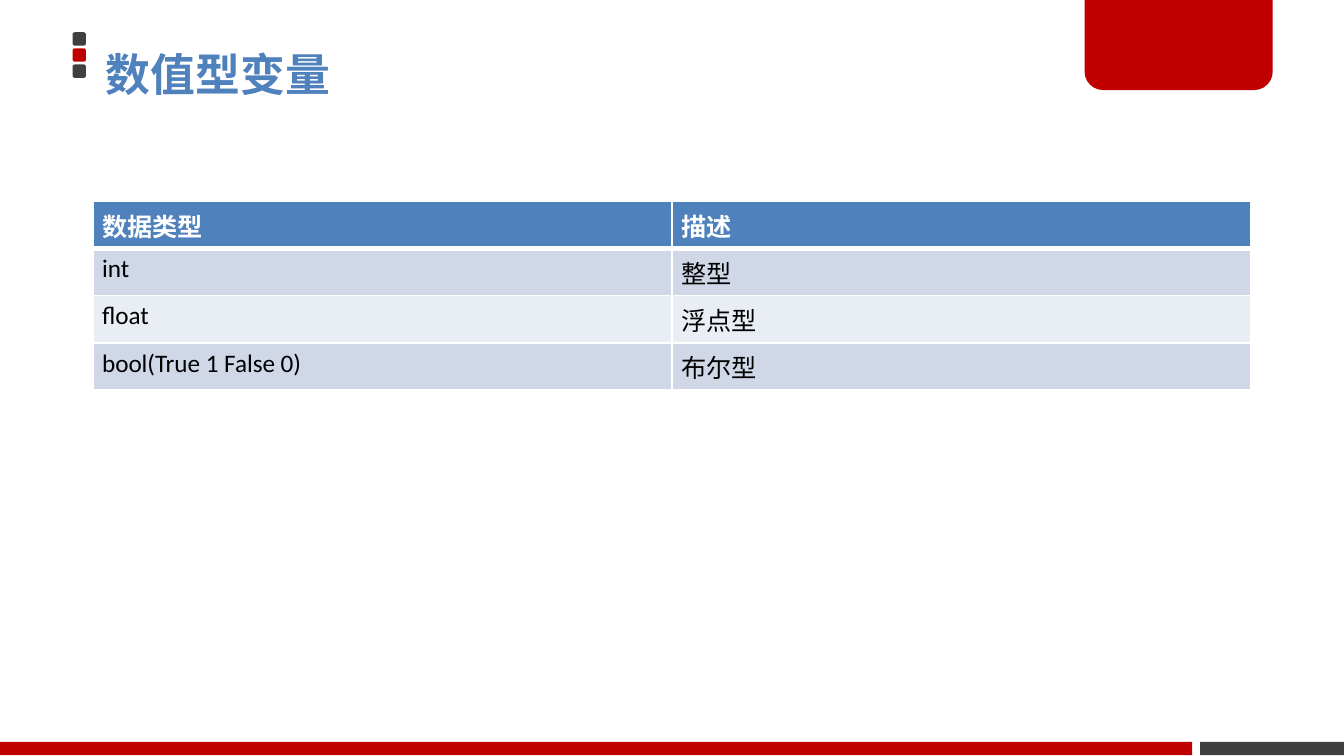
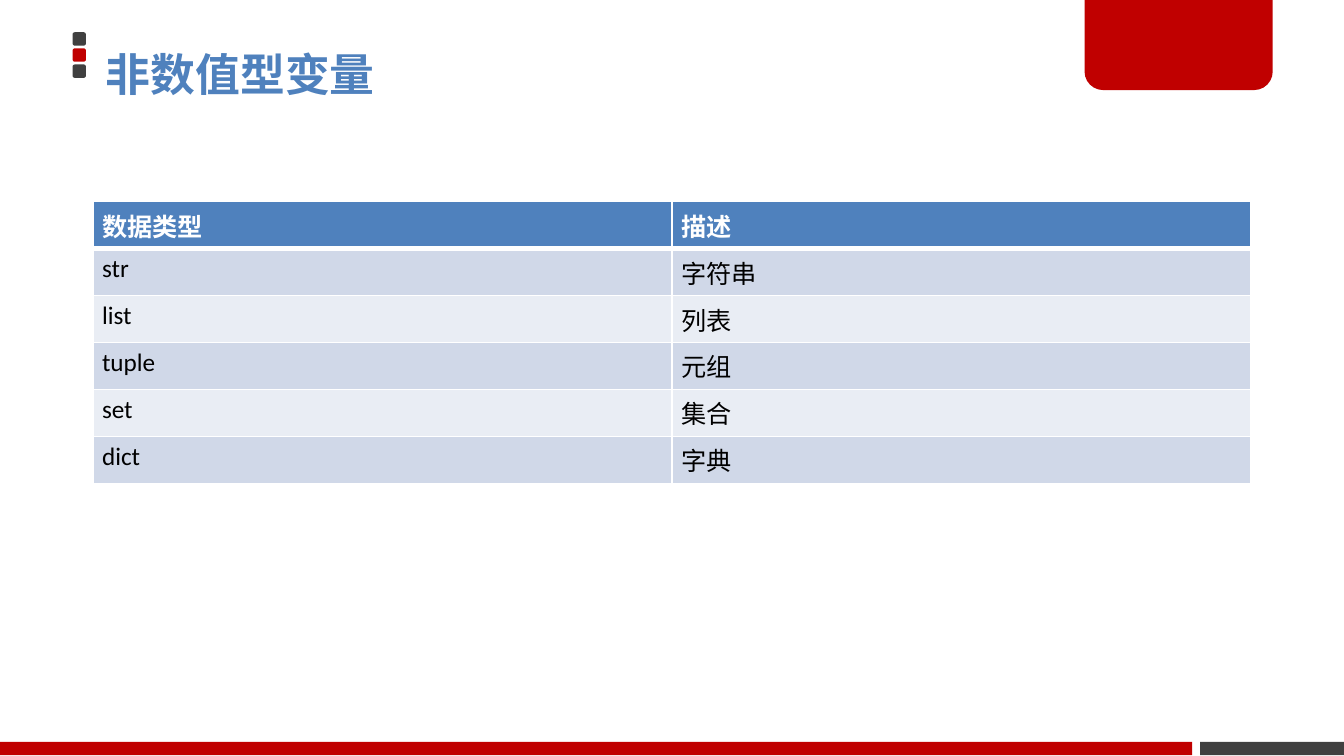
from dataclasses import dataclass

from lxml.etree import SubElement
from pptx import Presentation
from pptx.dml.color import RGBColor
from pptx.enum.shapes import MSO_SHAPE as Preset
from pptx.oxml.ns import qn
from pptx.slide import Slide
from pptx.table import _Cell as Cell
from pptx.text.text import _Paragraph as Paragraph
from pptx.util import Inches, Pt

RED = RGBColor(0xC0, 0x00, 0x00)
GRAY = RGBColor(0x40, 0x40, 0x40)
BLUE = RGBColor(0x4F, 0x81, 0xBD)
BANDS = (RGBColor(0xD0, 0xD8, 0xE8), RGBColor(0xE9, 0xED, 0xF4))
WHITE = RGBColor(0xFF, 0xFF, 0xFF)
BLACK = RGBColor(0x00, 0x00, 0x00)

LATIN_FONT = "Calibri"
CHINESE_FONT = "Noto Sans CJK SC"
SLIDE_WIDTH = Inches(10)
SLIDE_HEIGHT = SLIDE_WIDTH * 9 // 16
LEFT, WIDTH = 0.69, 8.62
ROW_HEIGHT = 0.35
HEADER = ("数据类型", "描述")


@dataclass(frozen=True)
class Block:
    preset: Preset
    left: float
    top: float
    width: float
    height: float
    color: RGBColor
    corners: tuple[float, ...] = ()


@dataclass(frozen=True)
class TypePage:
    title: str
    rows: tuple[tuple[str, str], ...]


DECORATION = [
    *(
        Block(Preset.ROUNDED_RECTANGLE, 0.54, 0.24 + 0.12 * i, 0.1, 0.1, color, (0.17,))
        for i, color in enumerate((GRAY, RED, GRAY))
    ),
    Block(Preset.RECTANGLE, 8.93, 5.52, 1.07, 0.1, GRAY),
    Block(Preset.ROUND_2_SAME_RECTANGLE, 8.07, -0.02, 1.4, 0.69, RED, (0, 0.2)),
    Block(Preset.RECTANGLE, 0, 5.52, 8.87, 0.1, RED),
]

PAGES = [
    TypePage(
        "数值型变量",
        (("int", "整型"), ("float", "浮点型"), ("bool(True 1 False 0)", "布尔型")),
    ),
    TypePage(
        "非数值型变量",
        (
            ("str", "字符串"),
            ("list", "列表"),
            ("tuple", "元组"),
            ("set", "集合"),
            ("dict", "字典"),
        ),
    ),
]


def add_block(page: Slide, block: Block) -> None:
    shape = page.shapes.add_shape(
        block.preset,
        Inches(block.left),
        Inches(block.top),
        Inches(block.width),
        Inches(block.height),
    )
    for i, corner in enumerate(block.corners):
        shape.adjustments[i] = corner
    shape.shadow.inherit = False
    shape.fill.solid()
    shape.fill.fore_color.rgb = block.color
    shape.line.fill.background()


def add_span(
    para: Paragraph, text: str, size: float, color: RGBColor, bold: bool, font: str
) -> None:
    span = para.add_run()
    span.text = text
    span.font.size = Pt(size)
    span.font.bold = bold
    span.font.color.rgb = color
    span.font.name = font
    SubElement(span.font._element, qn("a:ea"), typeface=CHINESE_FONT)


def add_title(page: Slide, title: str) -> None:
    box = page.shapes.add_textbox(Inches(LEFT), Inches(0.3), Inches(WIDTH), Inches(1.09))
    box.text_frame.word_wrap = True
    add_span(box.text_frame.paragraphs[0], title, 24, BLUE, True, CHINESE_FONT)


def set_borders(cell: Cell, top: float, bottom: float) -> None:
    """Draw white borders with the given top and bottom widths in points."""
    properties = cell._tc.get_or_add_tcPr()
    for side, width in (("L", 1), ("R", 1), ("T", top), ("B", bottom)):
        line = SubElement(properties, qn(f"a:ln{side}"), w=str(Pt(width)))
        fill = SubElement(line, qn("a:solidFill"))
        SubElement(fill, qn("a:srgbClr"), val=str(WHITE))


def fill_cell(cell: Cell, text: str, row: int) -> None:
    is_header = row == 0
    cell.margin_left = cell.margin_right = Inches(0.07)
    cell.margin_top = cell.margin_bottom = Inches(0.04)
    set_borders(cell, top=3 if row == 1 else 1, bottom=3 if is_header else 1)
    cell.fill.solid()
    cell.fill.fore_color.rgb = BLUE if is_header else BANDS[(row - 1) % 2]
    color = WHITE if is_header else BLACK
    add_span(cell.text_frame.paragraphs[0], text, 13.5, color, is_header, LATIN_FONT)


def add_type_table(page: Slide, rows: tuple[tuple[str, str], ...]) -> None:
    lines = (HEADER, *rows)
    table = page.shapes.add_table(
        len(lines),
        len(HEADER),
        Inches(LEFT),
        Inches(1.5),
        Inches(WIDTH),
        Inches(ROW_HEIGHT * len(lines)),
    ).table
    for i, line in enumerate(lines):
        for j, text in enumerate(line):
            fill_cell(table.cell(i, j), text, i)


def main() -> None:
    deck = Presentation()
    deck.slide_width, deck.slide_height = SLIDE_WIDTH, SLIDE_HEIGHT
    blank = deck.slide_layouts[6]
    for content in PAGES:
        page = deck.slides.add_slide(blank)
        for block in DECORATION:
            add_block(page, block)
        add_title(page, content.title)
        add_type_table(page, content.rows)
    deck.save("out.pptx")


if __name__ == "__main__":
    main()
